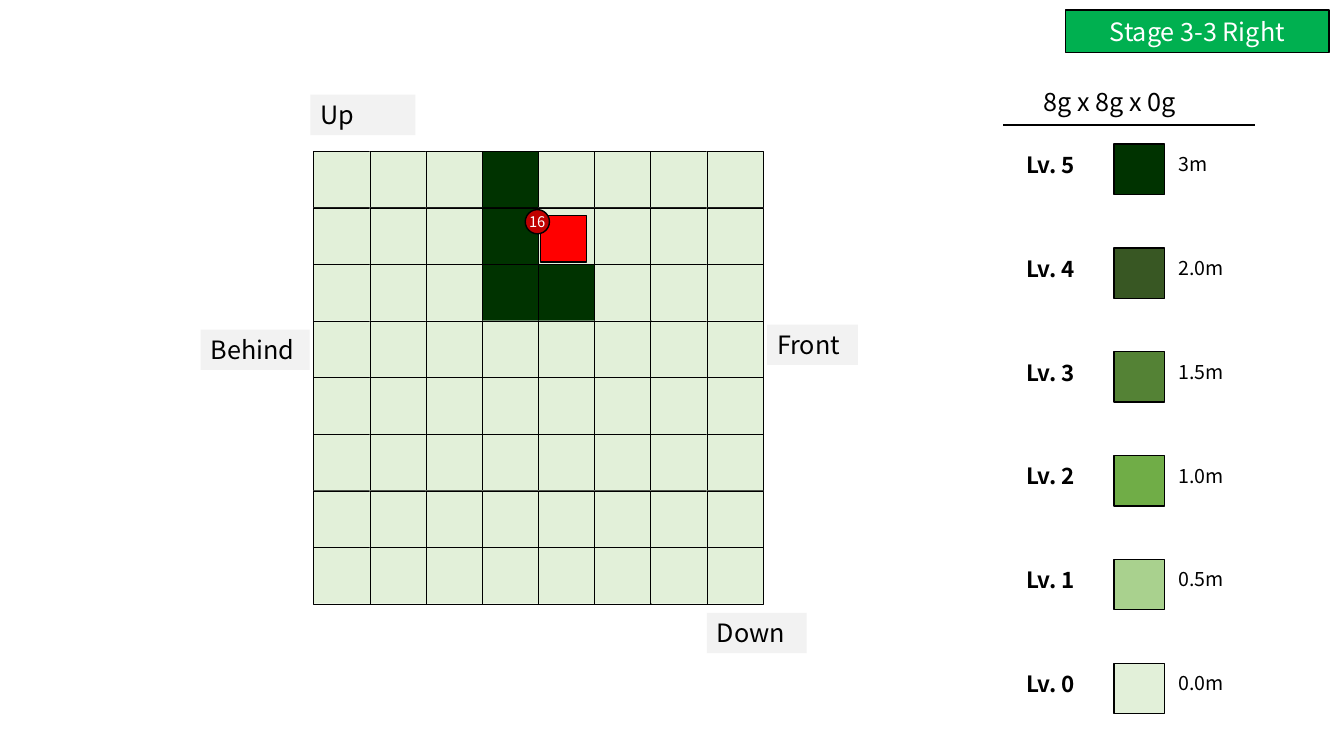
from pptx import Presentation
from pptx.dml.color import RGBColor as RGB
from pptx.enum.shapes import MSO_CONNECTOR as CON, MSO_SHAPE as SHP
from pptx.enum.text import MSO_ANCHOR as ANC, MSO_AUTO_SIZE as FIT, PP_ALIGN as ALN
from pptx.oxml import parse_xml
from pptx.oxml.ns import nsdecls
from pptx.util import Inches, Pt

BLACK = RGB(0, 0, 0)
WHITE = RGB(255, 255, 255)
GRAY = RGB(0xF2, 0xF2, 0xF2)
GREEN = RGB(0, 0xB0, 0x50)
RED = RGB(255, 0, 0)
CRIMSON = RGB(0xC0, 0, 0)
LEVELS = [
    ("3m", RGB(0, 0x33, 0)),
    ("2.0m", RGB(0x38, 0x57, 0x23)),
    ("1.5m", RGB(0x54, 0x82, 0x35)),
    ("1.0m", RGB(0x70, 0xAD, 0x47)),
    ("0.5m", RGB(0xA9, 0xD1, 0x8E)),
    ("0.0m", RGB(0xE2, 0xF0, 0xD9)),
]
HIGH, LOW = LEVELS[0][1], LEVELS[-1][1]
FACE = "Noto Sans CJK KR"
COUNT = 8
CELL = 0.56
WALLS = {(0, 3), (1, 3), (2, 3), (2, 4)}
BASE = {"name": FACE, "size": Pt(18), "bold": False}


def paint(shape, fill, line=None):
    shape.fill.solid()
    shape.fill.fore_color.rgb = fill
    if line is None:
        shape.line.fill.background()
    else:
        shape.line.color.rgb = BLACK
        shape.line.width = Pt(line)


def write(shape, text, color=BLACK, align=ALN.LEFT, anchor=ANC.TOP, wrap=True, **font):
    frame = shape.text_frame
    form = {"auto_size": FIT.NONE, "word_wrap": wrap, "vertical_anchor": anchor}
    for key, value in form.items():
        setattr(frame, key, value)
    para = frame.paragraphs[0]
    para.alignment = align
    run = para.add_run()
    run.text = text
    for key, value in {**BASE, **font}.items():
        setattr(run.font, key, value)
    run.font.color.rgb = color


def draw(parts, kind, box, fill, line=None):
    shape = parts.add_shape(kind, *map(Inches, box))
    shape.shadow.inherit = False
    paint(shape, fill, line)
    return shape


def label(parts, box, text, **font):
    write(parts.add_textbox(*map(Inches, box)), text, **font)


def badge(slide, box):
    title = slide.shapes.title
    for key, value in zip(("left", "top", "width", "height"), box):
        setattr(title, key, Inches(value))
    form = parse_xml(f'<a:prstGeom {nsdecls("a")} prst="roundRect"><a:avLst/></a:prstGeom>')
    title.element.spPr.append(form)
    paint(title, GREEN, 1)
    write(title, "Stage 3-3 Right", WHITE, ALN.CENTER, ANC.MIDDLE)


def legend(slide, box):
    left, top, width, step = box
    parts = slide.shapes.add_group_shape().shapes
    label(parts, (left + 0.3, top, width, 0.4), "8g x 8g x 0g")
    ends = (left, top + 0.43, left + width, top + 0.43)
    rule = parts.add_connector(CON.STRAIGHT, *map(Inches, ends))
    rule.line.color.rgb = BLACK
    rule.line.width = Pt(1)
    rule.element.spPr.append(parse_xml(f'<a:effectLst {nsdecls("a")}/>'))
    for row, (depth, color) in enumerate(LEVELS):
        y = top + 0.62 + row * step
        draw(parts, SHP.RECTANGLE, (left + 1.1, y, 0.5, 0.5), color, 1)
        label(parts, (left + 1.64, y + 0.03, 1.71, 0.34), depth, size=Pt(14))
        name = f"Lv. {len(LEVELS) - 1 - row}"
        label(parts, (left + 0.13, y + 0.02, 1.07, 0.37), name, size=Pt(16), bold=True)


def board(slide, box):
    left, top, width, height = box
    parts = slide.shapes.add_group_shape().shapes
    across = (width - CELL) / (COUNT - 1)
    down = (height - CELL) / (COUNT - 1)
    for row in range(COUNT):
        for col in range(COUNT):
            spot = (left + col * across, top + row * down, CELL, CELL)
            draw(parts, SHP.RECTANGLE, spot, HIGH if (row, col) in WALLS else LOW, 0.25)


def marker(slide, box):
    left, top, width, height = box
    parts = slide.shapes.add_group_shape().shapes
    draw(parts, SHP.RECTANGLE, box, RED, 1)
    draw(parts, SHP.OVAL, (left - 0.15, top - 0.06, 0.24, 0.24), CRIMSON, 1)
    label(parts, (left - 0.21, top - 0.08, 0.36, 0.28), "16",
          color=WHITE, wrap=False, size=Pt(10.5))


def sides(slide, box):
    left, top, width, height = box
    tags = [
        ("Up", -0.03, -0.56, 1.04),
        ("Behind", -1.12, 1.77, 1.08),
        ("Down", width - CELL, height + 0.09, 0.99),
        ("Front", width + 0.04, 1.72, 0.9),
    ]
    for text, x, y, wide in tags:
        spot = (left + x, top + y, wide, 0.4)
        write(draw(slide.shapes, SHP.RECTANGLE, spot, GRAY), text)


deck = Presentation()
deck.slide_width, deck.slide_height = Inches(13.33), Inches(7.5)
page = deck.slides.add_slide(deck.slide_layouts[5])
field = (3.11, 1.5, 4.46, 4.49)
badge(page, (10.57, 0.1, 2.61, 0.42))
legend(page, (9.95, 0.81, 2.5, 1.03))
board(page, field)
marker(page, (5.36, 2.14, 0.46, 0.46))
sides(page, field)
deck.save("out.pptx")
